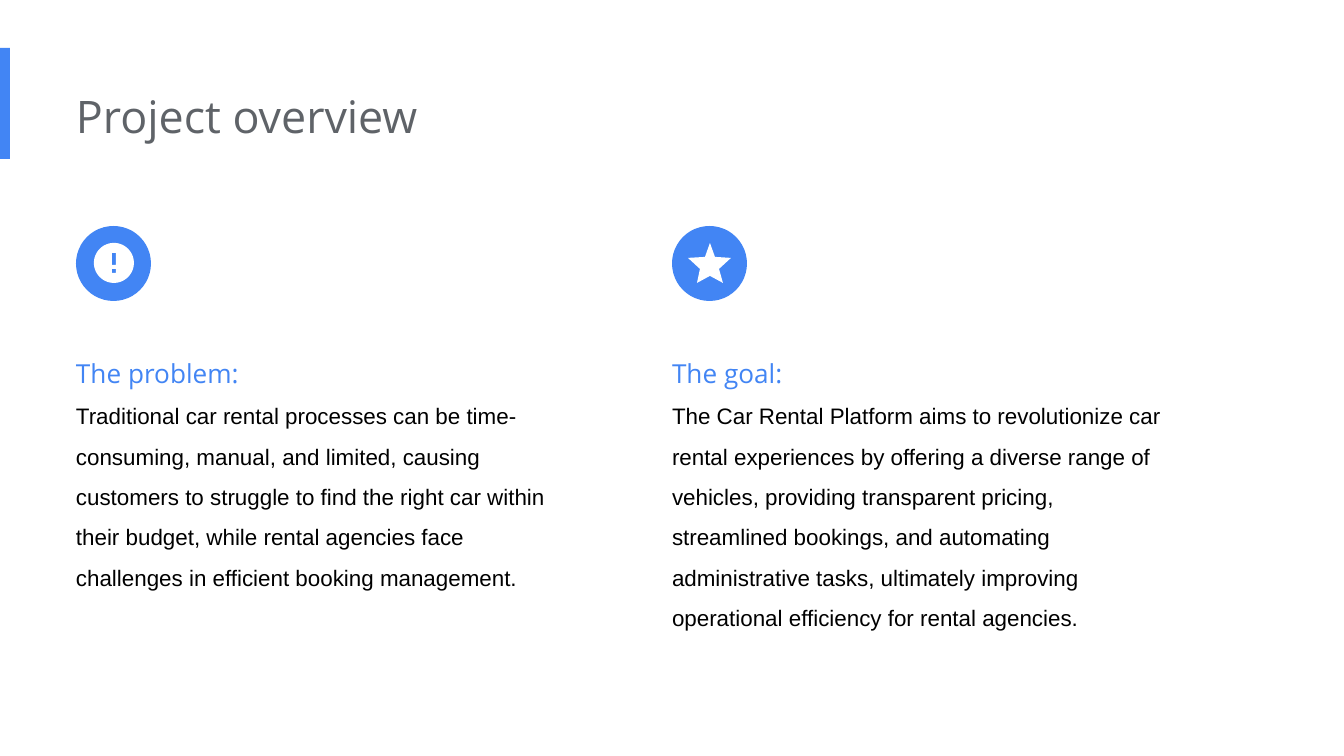
"""Build the project overview slide with its problem and goal columns."""
from dataclasses import dataclass
from math import cos, pi, sin

from lxml.etree import SubElement
from pptx import Presentation
from pptx.dml.color import RGBColor
from pptx.enum.shapes import MSO_SHAPE as Preset
from pptx.enum.text import MSO_ANCHOR as Anchor, MSO_AUTO_SIZE as AutoSize, PP_ALIGN as Align
from pptx.oxml.ns import qn
from pptx.util import Emu, Pt


@dataclass(frozen=True)
class Theme:
    blue: str = "4285F4"
    grey: str = "5F6368"
    black: str = "000000"
    white: str = "FFFFFF"
    heading_font: str = "Open Sans"
    body_font: str = "Arial"
    title_size: int = 24
    heading_size: int = 14
    body_size: int = 12


theme = Theme()
SCALE = 9144000 / 1344
LEFT, TITLE_TOP, ICON_TOP, TEXT_TOP = 76, 76, 226, 329
COLUMN_PITCH, COLUMN_WIDTH, ICON_SIZE, INSET = 596, 507, 75, 13


def px(length):
    return Emu(round(length * SCALE))


def paint(shape, color):
    shape.shadow.inherit = False
    shape.fill.solid()
    shape.fill.fore_color.rgb = RGBColor.from_string(color)
    shape.line.fill.background()


disc = [(38 + 20 * cos(step * pi / 36), 37 + 20 * sin(step * pi / 36)) for step in range(72)]
stroke = [(36, 27), (36, 39), (40, 39), (40, 27)]
dot = [(36, 43), (36, 47), (40, 47), (40, 43)]
star = [(38, 50), (51, 57), (47, 43), (59, 32), (43, 31),
        (38, 17), (33, 31), (16, 32), (28, 43), (25, 57)]

columns = [
    ("The problem:",
     "Traditional car rental processes can be time-consuming, manual, and limited, causing "
     "customers to struggle to find the right car within their budget, while rental agencies "
     "face challenges in efficient booking management.",
     278, [disc, stroke, dot]),
    ("The goal:",
     "The Car Rental Platform aims to revolutionize car rental experiences by offering a "
     "diverse range of vehicles, providing transparent pricing, streamlined bookings, and "
     "automating administrative tasks, ultimately improving operational efficiency for "
     "rental agencies.",
     318, [star]),
]

presentation = Presentation()
presentation.slide_width, presentation.slide_height = px(1344), px(756)
slide = presentation.slides.add_slide(presentation.slide_layouts[3])
title, *bodies = slide.placeholders

bar = slide.shapes.add_shape(Preset.RECTANGLE, 0, px(48), px(10), px(111))
paint(bar, theme.blue)

title.left, title.top, title.width, title.height = px(LEFT), px(TITLE_TOP), px(905), px(82)
title.text_frame.text = "Project overview"
title_style = (theme.heading_font, theme.title_size, theme.grey)
styled = [(title.text_frame.paragraphs[0], title_style)]

for index, (body, (heading, text, height, contours)) in enumerate(zip(bodies, columns)):
    left = LEFT + index * COLUMN_PITCH
    body.left, body.top, body.width, body.height = (
        px(left), px(TEXT_TOP), px(COLUMN_WIDTH), px(height))
    body.text_frame.text = f"{heading}\n{text}"
    styles = [(theme.heading_font, theme.heading_size, theme.blue),
              (theme.body_font, theme.body_size, theme.black)]
    for paragraph, style in zip(body.text_frame.paragraphs, styles):
        paragraph.line_spacing = 1.5
        paragraph.space_before = Pt(0)
        properties = paragraph._p.get_or_add_pPr()
        properties.set("marL", "0")
        properties.set("indent", "0")
        SubElement(properties, qn("a:buNone"))
        styled.append((paragraph, style))

    circle = slide.shapes.add_shape(
        Preset.OVAL, px(left), px(ICON_TOP), px(ICON_SIZE), px(ICON_SIZE))
    paint(circle, theme.blue)
    outlines = [[(px(left + x), px(ICON_TOP + y)) for x, y in contour] for contour in contours]
    builder = slide.shapes.build_freeform(*outlines[0][0])
    builder.add_line_segments(outlines[0][1:])
    for outline in outlines[1:]:
        builder.move_to(*outline[0])
        builder.add_line_segments(outline[1:])
    paint(builder.convert_to_shape(), theme.white)

for placeholder in (title, *bodies):
    frame = placeholder.text_frame
    frame.word_wrap = True
    frame.auto_size = AutoSize.SHAPE_TO_FIT_TEXT
    frame.vertical_anchor = Anchor.TOP
    frame.margin_left = 0
    frame.margin_top = frame.margin_right = frame.margin_bottom = px(INSET)

for paragraph, (font_name, size, color) in styled:
    paragraph.alignment = Align.LEFT
    for run in paragraph.runs:
        run.font.name = font_name
        run.font.size = Pt(size)
        run.font.color.rgb = RGBColor.from_string(color)

presentation.save("out.pptx")
